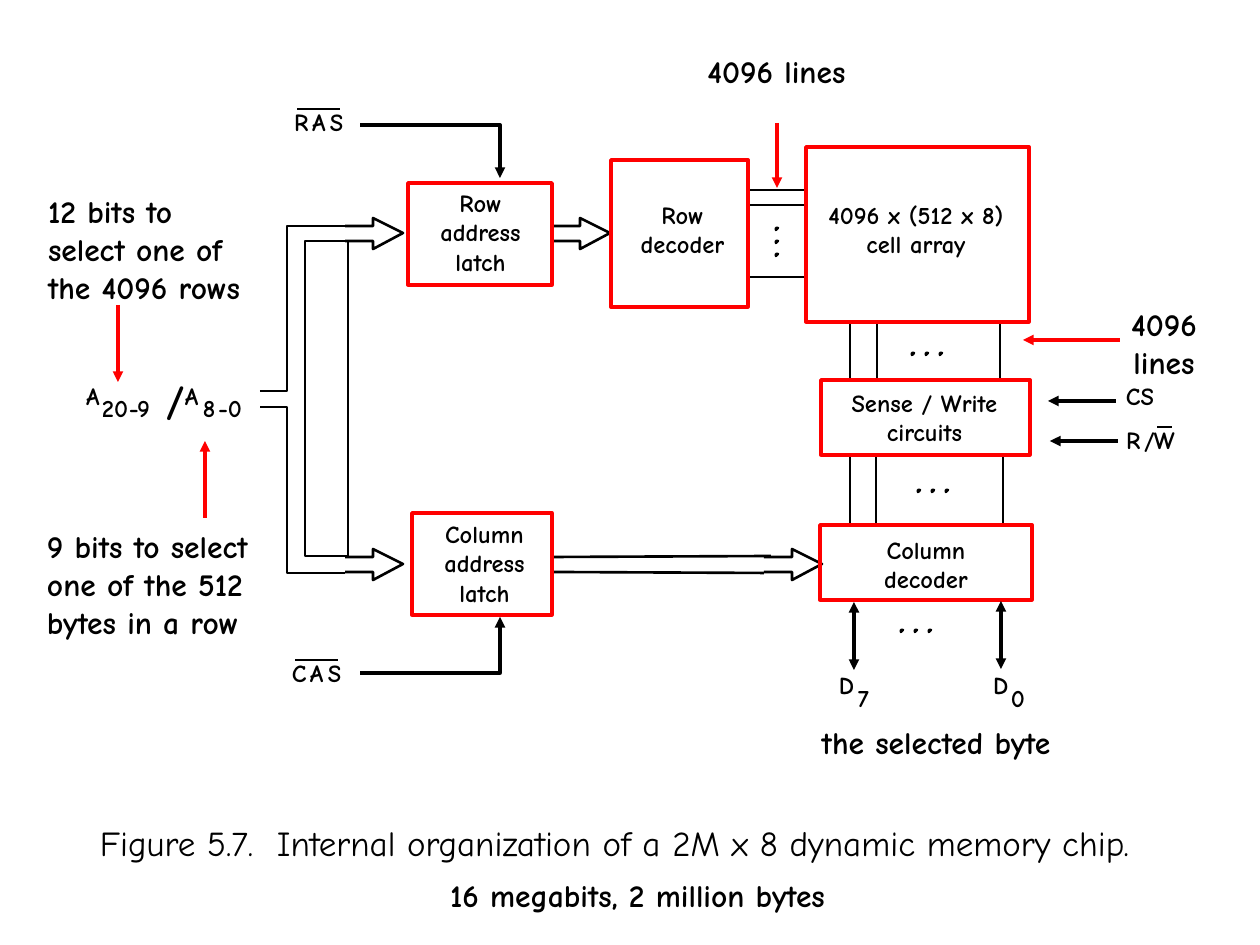
import dataclasses

import pptx
import pptx.dml.color
import pptx.enum.shapes
import pptx.enum.text
import pptx.oxml.ns
import pptx.util
from lxml import etree

EMU_PER_PX = 914400 / 126
BLACK = pptx.dml.color.RGBColor(0, 0, 0)
RED = pptx.dml.color.RGBColor(255, 0, 0)


@dataclasses.dataclass(frozen=True)
class Theme:
    font: str = "Comic Neue"
    ink: pptx.dml.color.RGBColor = BLACK
    accent: pptx.dml.color.RGBColor = RED
    label: int = 14
    note: int = 18
    caption: int = 20
    slash: int = 24
    hairline: float = 0.75
    thin: float = 1.5
    thick: float = 2


THEME = Theme()
NOTE_INSETS = (13, 6)
SIGN_WIDTH, SIGN_HEIGHT = 18, 29

# Unit name, its box, and the place of the label in it
UNITS = [
    ("Row decoder", (611, 160, 137, 147), (624, 200, 117, 59)),
    ("Sense / Write circuits", (821, 380, 209, 75), (847, 388, 155, 59)),
    ("Column decoder", (820, 525, 212, 75), (871, 535, 110, 59)),
    ("4096 x (512 x 8) cell array", (806, 147, 223, 175), (816, 200, 200, 59)),
    ("Row address latch", (408, 183, 144, 102), (430, 188, 101, 88)),
    ("Column address latch", (412, 513, 140, 102), (433, 519, 103, 88)),
]

# Signal names are set sign by sign: (text, left, top)
SIGNAL_SIGNS = [
    ("CS", 1126, 381),
    ("R", 1126, 425), ("/", 1144, 425), ("W", 1154, 425),
    ("A", 86, 381), ("20", 102, 393), ("-", 129, 393), ("9", 137, 393),
    ("A", 185, 381), ("8", 203, 393), ("-", 218, 393), ("0", 228, 393),
    ("D", 993, 670), ("0", 1011, 683),
    ("D", 839, 670), ("7", 858, 683),
]

NOTES = [
    ("12 bits to select one of the 4096 rows", (35, 186, 234, 113), "LEFT"),
    ("9 bits to select one of the 512 bytes in a row", (34, 521, 234, 113), "LEFT"),
    ("16 megabits, 2 million bytes", (426, 870, 423, 47), "CENTER"),
    ("the selected byte", (795, 717, 282, 47), "CENTER"),
    ("4096 lines", (1088, 299, 152, 81), "CENTER"),
    ("4096 lines", (694, 46, 165, 47), "CENTER"),
]

# Start, end, colour and whether both ends carry a head
ARROWS = [
    ((1116, 401), (1048, 401), THEME.ink, False),
    ((1118, 441), (1050, 441), THEME.ink, False),
    ((854, 670), (854, 602), THEME.ink, True),
    ((1001, 669), (1001, 601), THEME.ink, True),
    ((500, 151), (500, 178), THEME.ink, False),
    ((500, 643), (500, 617), THEME.ink, False),
    ((118, 305), (118, 382), THEME.accent, False),
    ((205, 518), (205, 441), THEME.accent, False),
    ((1120, 340), (1023, 340), THEME.accent, False),
    ((777, 123), (777, 188), THEME.accent, False),
]


def px(length):
    return pptx.util.Emu(round(length * EMU_PER_PX))


def set_line(shape, color, width):
    shape.line.color.rgb = color
    shape.line.width = pptx.util.Pt(width)


def add_text(slide, text, box, size=THEME.label, bold=True, align="LEFT",
             insets=(0, 0), wrap=True):
    shape = slide.shapes.add_textbox(*map(px, box))
    frame = shape.text_frame
    frame.word_wrap = wrap
    frame.margin_left = frame.margin_right = px(insets[0])
    frame.margin_top = frame.margin_bottom = px(insets[1])
    paragraph = frame.paragraphs[0]
    paragraph.alignment = getattr(pptx.enum.text.PP_ALIGN, align)
    run = paragraph.add_run()
    run.text = text
    run.font.name = THEME.font
    run.font.size = pptx.util.Pt(size)
    run.font.bold = bold
    run.font.color.rgb = THEME.ink


def add_sign(slide, text, left, top):
    box = (left, top, SIGN_WIDTH * len(text), SIGN_HEIGHT)
    add_text(slide, text, box, wrap=False)


def add_box(slide, box, color, width):
    shape = slide.shapes.add_shape(
        pptx.enum.shapes.MSO_SHAPE.RECTANGLE, *map(px, box))
    shape.shadow.inherit = False
    shape.fill.background()
    set_line(shape, color, width)


def add_line(slide, start, end, color=THEME.ink, width=THEME.thin, heads=()):
    """Draw a straight line; heads names its arrow ends, headEnd or tailEnd."""
    connector = slide.shapes.add_connector(
        pptx.enum.shapes.MSO_CONNECTOR.STRAIGHT, *map(px, start + end))
    set_line(connector, color, width)
    line = connector.line._get_or_add_ln()
    for head in heads:
        etree.SubElement(line, pptx.oxml.ns.qn("a:" + head), type="triangle")
    etree.SubElement(connector._element.spPr, pptx.oxml.ns.qn("a:effectLst"))


def add_outline(slide, points, width=THEME.thin, close=False):
    builder = slide.shapes.build_freeform(*points[0], scale=EMU_PER_PX)
    builder.add_line_segments(points[1:], close=close)
    shape = builder.convert_to_shape()
    shape.shadow.inherit = False
    shape.fill.background()
    set_line(shape, THEME.ink, width)


def add_block_arrow(slide, left, middle):
    """Draw a hollow arrowhead, open where its bus joins it."""
    neck, tip = left + 28, left + 58
    add_outline(slide, [
        (left, middle + 8), (neck, middle + 8), (neck, middle + 16),
        (tip, middle), (neck, middle - 15), (neck, middle - 7),
        (left, middle - 7)])


def add_ellipsis(slide, left, top, step_x=0, step_y=0):
    for index in range(3):
        x, y = left + index * step_x, top + index * step_y
        add_outline(slide, [(x, y + 2), (x + 2, y), (x, y)], close=True)


def add_overlined_name(slide, name, left, top):
    for index, letter in enumerate(name):
        add_sign(slide, letter, left + SIGN_WIDTH * index, top)
    add_line(slide, (left + 46, top + 2), (left + 3, top + 2))


def draw_buses(slide):
    for y in (190, 205, 277):
        add_line(slide, (806, y), (748, y))
    for top, bottom, columns in ((323, 380, (850, 877, 1000)),
                                 (455, 525, (850, 876, 1003))):
        for x in columns:
            add_line(slide, (x, bottom), (x, top))
    add_line(slide, (764, 573), (552, 572))
    add_line(slide, (771, 556), (554, 557))
    add_box(slide, (305, 241, 43, 315), THEME.ink, THEME.thin)
    add_outline(slide, [(345, 573), (287, 573), (287, 407), (260, 407)])
    add_outline(slide, [(260, 391), (287, 391), (287, 226), (345, 226)])
    add_line(slide, (335, 226), (359, 226), width=THEME.hairline)
    for left, middle in ((345, 233), (345, 564), (552, 233), (764, 564)):
        add_block_arrow(slide, left, middle)
    add_ellipsis(slide, 776, 228, step_y=13)
    for left, top in ((912, 353), (918, 490), (901, 630)):
        add_ellipsis(slide, left, top, step_x=14)


def draw_signals(slide):
    for text, left, top in SIGNAL_SIGNS:
        add_sign(slide, text, left, top)
    add_line(slide, (1172, 427), (1157, 427))
    add_text(slide, "/", (154, 368, 72, 63), size=THEME.slash, insets=NOTE_INSETS)
    add_overlined_name(slide, "RAS", 294, 107)
    add_overlined_name(slide, "CAS", 292, 658)
    for corner_y, end_y in ((125, 163), (673, 635)):
        add_outline(slide, [(500, end_y), (500, corner_y), (360, corner_y)],
                    width=THEME.thick)
    for start, end, color, both in ARROWS:
        heads = ("headEnd", "tailEnd") if both else ("tailEnd",)
        add_line(slide, start, end, color, THEME.thick, heads)


def main():
    presentation = pptx.Presentation()
    presentation.slide_width, presentation.slide_height = px(1260), px(945)
    slide = presentation.slides.add_slide(presentation.slide_layouts[6])
    draw_buses(slide)
    for name, box, label_box in UNITS:
        add_box(slide, box, THEME.accent, THEME.thick)
        add_text(slide, name, label_box, align="CENTER")
    draw_signals(slide)
    for text, box, align in NOTES:
        add_text(slide, text, box, size=THEME.note, align=align, insets=NOTE_INSETS)
    add_text(slide, "Figure 5.7.  Internal organization of a 2M x 8 dynamic memory chip.",
             (100, 822, 1045, 42), size=THEME.caption, bold=False, wrap=False)
    presentation.save("out.pptx")


if __name__ == "__main__":
    main()
